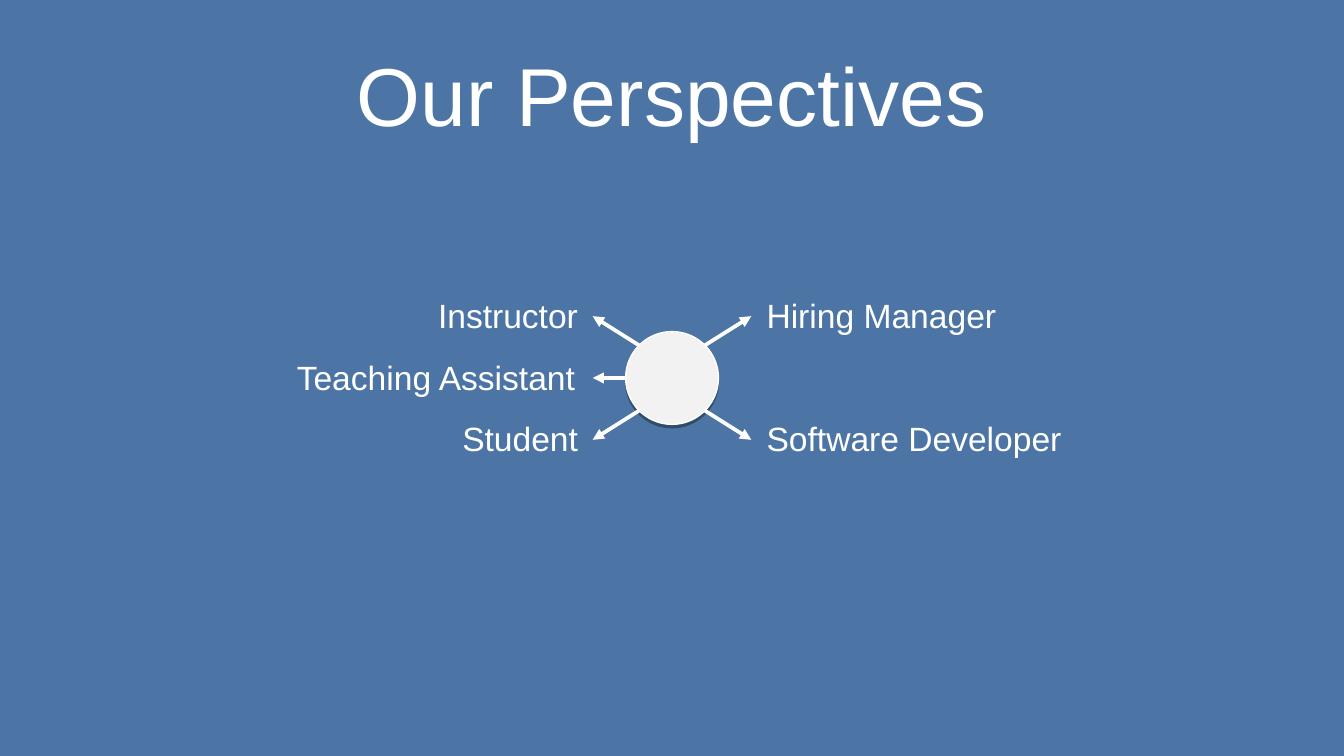
from dataclasses import dataclass

from lxml import etree
from pptx import Presentation
from pptx.dml.color import RGBColor
from pptx.enum.shapes import MSO_CONNECTOR, MSO_SHAPE
from pptx.enum.text import MSO_ANCHOR, MSO_AUTO_SIZE, PP_ALIGN
from pptx.oxml.ns import qn
from pptx.util import Inches, Pt

LEFT, CENTER, RIGHT, JUSTIFY = PP_ALIGN.LEFT, PP_ALIGN.CENTER, PP_ALIGN.RIGHT, PP_ALIGN.JUSTIFY
MIDDLE, TOP = MSO_ANCHOR.MIDDLE, MSO_ANCHOR.TOP
FIT_SHAPE, NO_FIT = MSO_AUTO_SIZE.SHAPE_TO_FIT_TEXT, MSO_AUTO_SIZE.NONE
ELLIPSE, STRAIGHT = MSO_SHAPE.OVAL, MSO_CONNECTOR.STRAIGHT

# The slide is a grid of 100 columns by 56.25 rows; the hub sits in its middle.
COLUMNS, ROWS = 100, 56.25
CELL = Inches(0.1)
HUB_X, HUB_Y = COLUMNS / 2, ROWS / 2
HUB_SIZE = 6.9
SPOKE_TIP = 5.9
DIAGONAL_START, DIAGONAL_RISE = 2.4, 4.6
LABEL_HEIGHT = 4
BLUE, WHITE, PALE = "4C75A5", "FFFFFF", "F2F2F2"


@dataclass
class Perspective:
    name: str
    left: float
    top: float
    width: float
    align: PP_ALIGN
    side: int  # -1 left of the hub, 1 right
    level: int  # -1 above the hub, 0 beside it, 1 below


PERSPECTIVES = [
    Perspective("Instructor", 31.6, 21.45, 12.4, RIGHT, -1, -1),
    Perspective("Teaching Assistant", 21.1, 26.1, 23.1, JUSTIFY, -1, 0),
    Perspective("Student", 33.4, 30.6, 10.6, RIGHT, -1, 1),
    Perspective("Hiring Manager", 56.05, 21.45, 19.1, LEFT, 1, -1),
    Perspective("Software Developer", 56.05, 30.6, 24.1, LEFT, 1, 1),
]


def color(hex_string: str) -> RGBColor:
    return RGBColor.from_string(hex_string)


def cells(*counts: float) -> list[int]:
    return [round(count * CELL) for count in counts]


def write(shape, text: str, *, size: float, align=LEFT, anchor=TOP, wrap=True, fit=NO_FIT) -> None:
    frame = shape.text_frame
    frame.text = text
    frame.word_wrap = wrap
    frame.auto_size = fit
    frame.vertical_anchor = anchor
    paragraph = frame.paragraphs[0]
    paragraph.alignment = align
    font = paragraph.runs[0].font
    font.name, font.size = "Arial", Pt(size)
    font.color.rgb = color(WHITE)


def draw_title(slide, text: str) -> None:
    title = slide.shapes.title
    title.left, title.top, title.width, title.height = cells(5, 2.3, 90, 9.4)
    write(title, text, size=44, align=CENTER, anchor=MIDDLE)


def draw_label(slide, item: Perspective) -> None:
    box = slide.shapes.add_textbox(*cells(item.left, item.top, item.width, LABEL_HEIGHT))
    write(box, item.name, size=18, align=item.align, wrap=False, fit=FIT_SHAPE)


def draw_hub(slide) -> None:
    corner = HUB_X - HUB_SIZE / 2, HUB_Y - HUB_SIZE / 2
    hub = slide.shapes.add_shape(ELLIPSE, *cells(*corner, HUB_SIZE, HUB_SIZE))
    hub.fill.solid()
    hub.fill.fore_color.rgb = color(PALE)
    hub.line.color.rgb = color(WHITE)
    hub.line.width = Pt(0.75)
    hub.shadow.inherit = False
    effects = hub._element.spPr.find(qn("a:effectLst"))
    shadow = etree.SubElement(effects, qn("a:outerShdw"), blurRad="0", dist=str(Pt(1.8)),
                              dir="5400000", rotWithShape="0")
    tint = etree.SubElement(shadow, qn("a:srgbClr"), val="000000")
    etree.SubElement(tint, qn("a:alpha"), val="35000")


def draw_spoke(slide, item: Perspective) -> None:
    """Draw the arrow from the hub's edge towards the label."""
    start = DIAGONAL_START if item.level else HUB_SIZE / 2
    spoke = slide.shapes.add_connector(STRAIGHT, *cells(
        HUB_X + item.side * start, HUB_Y + item.level * DIAGONAL_START,
        HUB_X + item.side * SPOKE_TIP, HUB_Y + item.level * DIAGONAL_RISE))
    spoke.line.color.rgb = color(WHITE)
    spoke.line.width = Pt(2)
    etree.SubElement(spoke.line._get_or_add_ln(), qn("a:tailEnd"), type="triangle")
    etree.SubElement(spoke._element.spPr, qn("a:effectLst"))


def main() -> None:
    deck = Presentation()
    deck.slide_width, deck.slide_height = cells(COLUMNS, ROWS)
    title_only = deck.slide_layouts[5]
    slide = deck.slides.add_slide(title_only)
    slide.background.fill.solid()
    slide.background.fill.fore_color.rgb = color(BLUE)

    draw_title(slide, "Our Perspectives")
    for item in PERSPECTIVES:
        draw_label(slide, item)
    draw_hub(slide)
    for item in PERSPECTIVES:
        draw_spoke(slide, item)
    deck.save("out.pptx")


if __name__ == "__main__":
    main()
